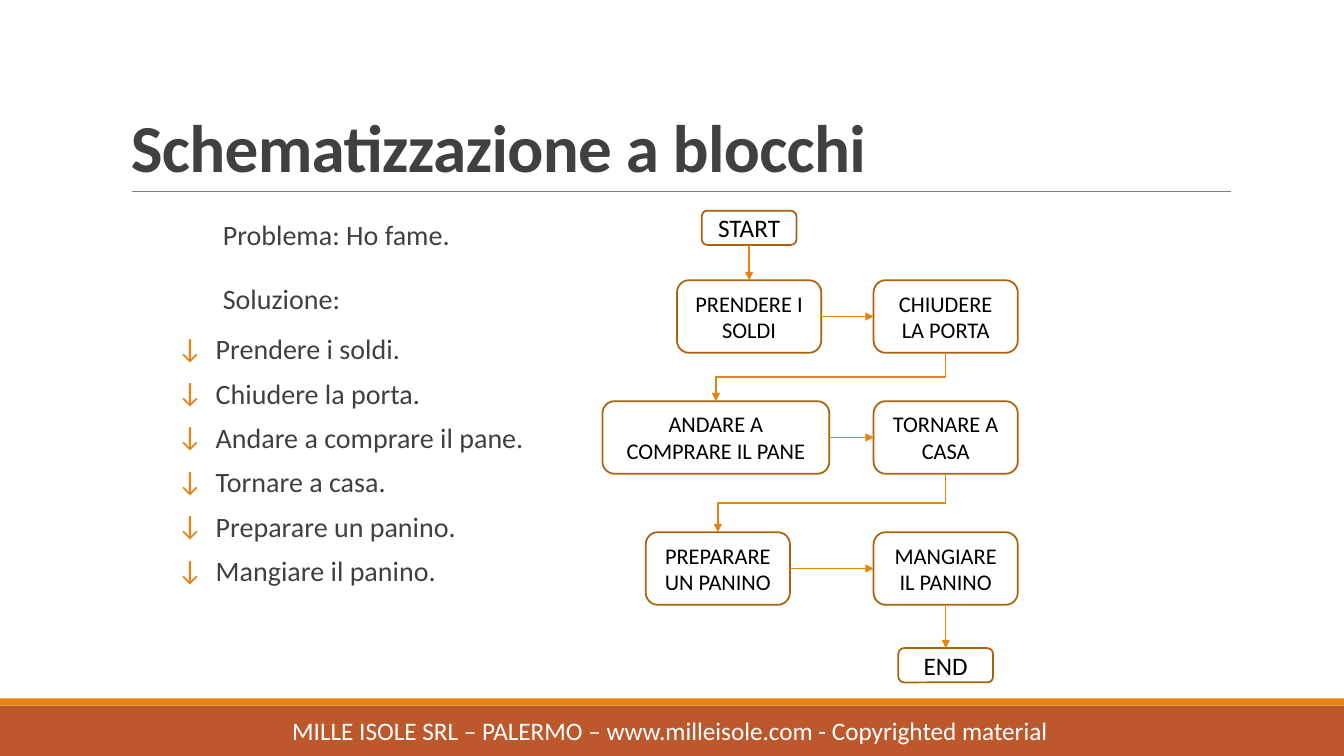
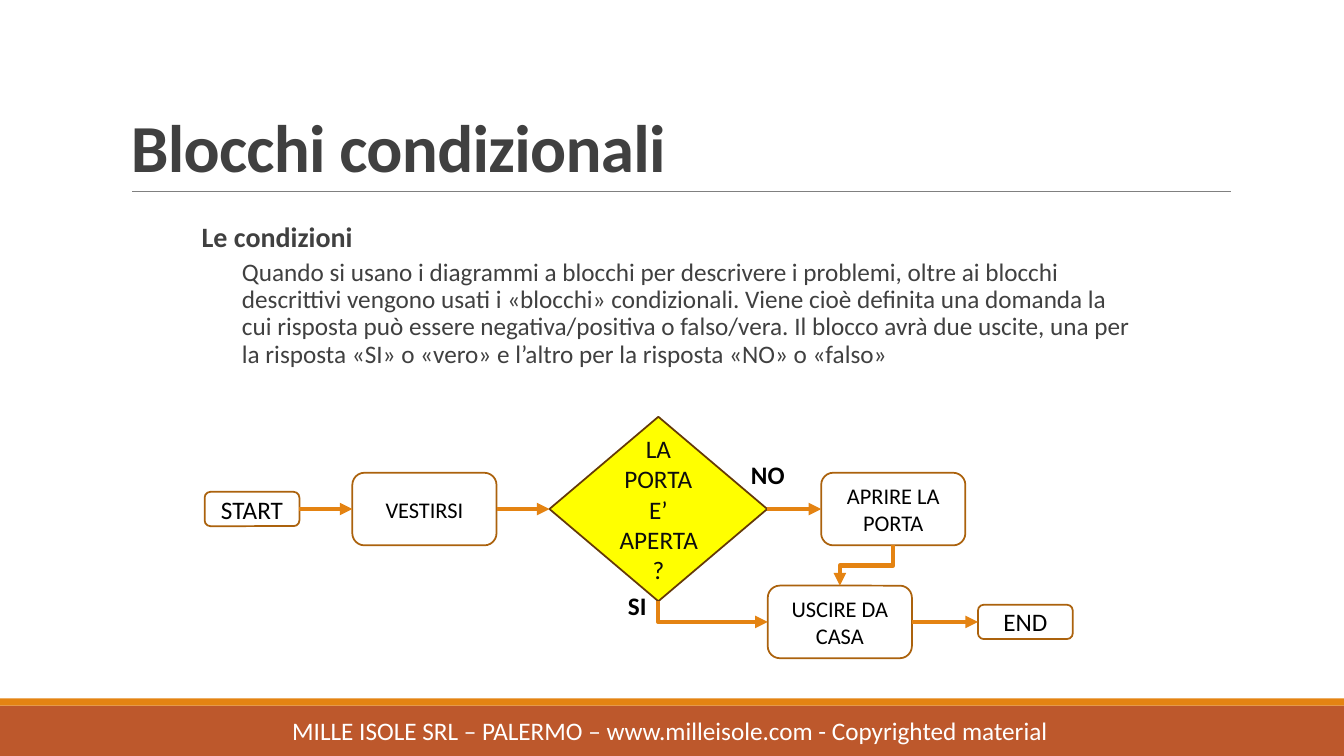
from lxml.etree import SubElement
from pptx import Presentation
from pptx.dml.color import RGBColor
from pptx.enum.shapes import MSO_CONNECTOR, MSO_SHAPE
from pptx.enum.text import MSO_ANCHOR, PP_ALIGN
from pptx.oxml.ns import qn
from pptx.util import Inches, Pt

FONT = "Calibri"
ORANGE, RUST, BROWN, DARK_BROWN = "E48312", "BD582C", "AB620D", "643908"
WHITE, BLACK, INK, GRAY, YELLOW = "FFFFFF", "000000", "404040", "808080", "FFFF00"
TOP, LEFT, BOTTOM, RIGHT = range(4)
FOOTER = "MILLE ISOLE SRL – PALERMO – www.milleisole.com - Copyrighted material"
SOLUTION = ["Prendere i soldi.", "Chiudere la porta.", "Andare a comprare il pane.",
            "Tornare a casa.", "Preparare un panino.", "Mangiare il panino."]
CONDITIONS = (
    "Quando si usano i diagrammi a blocchi per descrivere i problemi, oltre ai blocchi "
    "descrittivi vengono usati i «blocchi» condizionali. Viene cioè definita una domanda la "
    "cui risposta può essere negativa/positiva o falso/vera. Il blocco avrà due uscite, una per "
    "la risposta «SI» o «vero» e l’altro per la risposta «NO» o «falso»"
)


def rgb(color):
    return RGBColor.from_string(color)


def write(frame, text, size=18, color=BLACK, bold=False, align=PP_ALIGN.LEFT, leading=None,
          before=0, after=0, margin=0, hanging=0, bullet=None, tracking=None):
    first = frame.paragraphs[0]
    paragraph = frame.add_paragraph() if first.runs else first
    properties = paragraph._p.get_or_add_pPr()
    properties.set("marL", str(Inches(margin)))
    properties.set("indent", str(-Inches(hanging)))
    if bullet:
        bullet_color = SubElement(properties, qn("a:buClr"))
        SubElement(bullet_color, qn("a:srgbClr"), val=ORANGE)
        SubElement(properties, qn("a:buFont"), typeface=FONT)
        SubElement(properties, qn("a:buChar"), char=bullet)
    paragraph.alignment = align
    paragraph.line_spacing = leading
    paragraph.space_before = Pt(before)
    paragraph.space_after = Pt(after)
    run = paragraph.add_run()
    run.text = text
    run.font.name = FONT
    run.font.size = Pt(size)
    run.font.bold = bold
    run.font.color.rgb = rgb(color)
    if tracking:
        run._r.get_or_add_rPr().set("spc", str(int(tracking * 100)))


def text_area(slide, left, top, width, height, anchor=MSO_ANCHOR.TOP, side_inset=0.1):
    area = slide.shapes.add_textbox(Inches(left), Inches(top), Inches(width), Inches(height))
    frame = area.text_frame
    frame.word_wrap = True
    frame.vertical_anchor = anchor
    frame.margin_left = frame.margin_right = Inches(side_inset)
    return frame


def filled_shape(slide, preset, left, top, width, height, fill, outline=None):
    shape = slide.shapes.add_shape(
        preset, Inches(left), Inches(top), Inches(width), Inches(height))
    shape.shadow.inherit = False
    shape.fill.solid()
    shape.fill.fore_color.rgb = rgb(fill)
    if outline:
        shape.line.color.rgb = rgb(outline)
        shape.line.width = Pt(1.25)
    else:
        shape.line.fill.background()
    return shape


def block(slide, text, center_x, center_y, width=1.43, height=0.72, size=16,
          preset=MSO_SHAPE.ROUNDED_RECTANGLE, fill=WHITE, outline=BROWN, color=BLACK):
    shape = filled_shape(slide, preset, center_x - width / 2, center_y - height / 2,
                         width, height, fill, outline)
    shape.text_frame.word_wrap = True
    shape.text_frame.vertical_anchor = MSO_ANCHOR.MIDDLE
    write(shape.text_frame, text, size=size, color=color, align=PP_ALIGN.CENTER)
    return shape


def terminal(slide, text, center_x, center_y):
    return block(slide, text, center_x, center_y, width=0.94, height=0.34, size=18)


def style_line(connector, color, weight):
    connector.line.color.rgb = rgb(color)
    connector.line.width = Pt(weight)
    SubElement(connector._element.spPr, qn("a:effectLst"))


def arrow(slide, source, source_side, target, target_side, weight,
          kind=MSO_CONNECTOR.STRAIGHT):
    connector = slide.shapes.add_connector(kind, 0, 0, 0, 0)
    connector.begin_connect(source, source_side)
    connector.end_connect(target, target_side)
    style_line(connector, ORANGE, weight)
    SubElement(connector.line._get_or_add_ln(), qn("a:tailEnd"), type="triangle")
    return connector


def descending_arrow(slide, source, target, target_side, weight):
    connector = arrow(slide, source, BOTTOM, target, target_side, weight, MSO_CONNECTOR.ELBOW)
    across, down = connector.width, connector.height
    connector.left += (across - down) // 2
    connector.top += (down - across) // 2
    connector.width, connector.height = down, across
    transform = connector._element.spPr.find(qn("a:xfrm"))
    enters_side = target_side == LEFT
    transform.set("rot", str((270 if enters_side else 90) * 60000))
    transform.set("flipH", "1" if enters_side else "0")
    if enters_side:
        connector._element.spPr.find(qn("a:prstGeom")).set("prst", "bentConnector2")


def themed_slide(deck, title):
    slide = deck.slides.add_slide(deck.slide_layouts[6])
    filled_shape(slide, MSO_SHAPE.RECTANGLE, 0, 7, 13.33, 0.5, RUST)
    filled_shape(slide, MSO_SHAPE.RECTANGLE, 0, 6.93, 13.33, 0.07, ORANGE)
    rule = slide.shapes.add_connector(
        MSO_CONNECTOR.STRAIGHT, Inches(1.31), Inches(1.9), Inches(12.21), Inches(1.9))
    style_line(rule, GRAY, 0.5)
    write(text_area(slide, 2.8, 7.05, 8.54, 0.4), FOOTER, color=WHITE)
    write(text_area(slide, 1.2, 0.31, 11, 1.59, MSO_ANCHOR.BOTTOM), title,
          size=48, color=INK, bold=True, leading=0.85, tracking=-0.5)
    return slide


def block_scheme(deck):
    slide = themed_slide(deck, "Schematizzazione a blocchi")
    problem = text_area(slide, 1.72, 2.09, 3.96, 4.5, side_inset=0)
    body = dict(size=20, color=INK, align=PP_ALIGN.JUSTIFY, leading=1.07)
    write(problem, "Problema: Ho fame.", margin=0.49, after=8, **body)
    write(problem, "Soluzione:", margin=0.49, before=12, after=8, **body)
    for step in SOLUTION:
        write(problem, step, margin=0.42, hanging=0.38, bullet="↓", before=2, after=4, **body)

    right_x = 9.38
    start = terminal(slide, "START", 7.43, 2.26)
    rows = [
        (block(slide, left_text, left_x, y, width=width), block(slide, right_text, right_x, y))
        for left_text, left_x, width, right_text, y in [
            ("PRENDERE I SOLDI", 7.43, 1.43, "CHIUDERE LA PORTA", 3.14),
            ("ANDARE A COMPRARE IL PANE", 7.1, 2.25, "TORNARE A CASA", 4.34),
            ("PREPARARE UN PANINO", 7.12, 1.43, "MANGIARE IL PANINO", 5.64),
        ]
    ]
    end = terminal(slide, "END", right_x, 6.6)
    arrow(slide, start, BOTTOM, rows[0][0], TOP, 1)
    for left_block, right_block in rows:
        arrow(slide, left_block, RIGHT, right_block, LEFT, 1)
    for upper, lower in zip(rows, rows[1:]):
        descending_arrow(slide, upper[1], lower[0], TOP, 1)
    arrow(slide, rows[-1][1], BOTTOM, end, TOP, 1)


def conditional_blocks(deck):
    slide = themed_slide(deck, "Blocchi condizionali")
    explanation = text_area(slide, 1.9, 2.17, 9.4, 2.25, side_inset=0)
    write(explanation, "Le condizioni", size=20, color=INK, bold=True,
          margin=0.1, leading=0.9, after=2)
    write(explanation, CONDITIONS, color=INK, margin=0.5, leading=0.9, before=2, after=4)

    upper_y, lower_y = 5.05, 6.17
    start = terminal(slide, "START", 2.5, upper_y)
    dress = block(slide, "VESTIRSI", 4.21, upper_y)
    question = block(slide, "LA PORTA E’ APERTA?", 6.53, upper_y, width=2.16, height=1.83,
                     size=18, preset=MSO_SHAPE.DIAMOND, fill=YELLOW, outline=DARK_BROWN,
                     color="0D0D0D")
    open_door = block(slide, "APRIRE LA PORTA", 8.86, upper_y)
    leave = block(slide, "USCIRE DA CASA", 8.33, lower_y)
    end = terminal(slide, "END", 10.17, lower_y)
    for source, target in [(start, dress), (dress, question), (question, open_door),
                           (leave, end)]:
        arrow(slide, source, RIGHT, target, LEFT, 3)
    descending_arrow(slide, open_door, leave, TOP, 3)
    descending_arrow(slide, question, leave, LEFT, 3)
    for answer, left, top in [("NO", 7.35, 4.51), ("SI", 6.13, 5.81)]:
        write(text_area(slide, left, top, 0.62, 0.4), answer, bold=True)


def main():
    deck = Presentation()
    deck.slide_width, deck.slide_height = Inches(13.33), Inches(7.5)
    block_scheme(deck)
    conditional_blocks(deck)
    deck.save("out.pptx")


if __name__ == "__main__":
    main()
